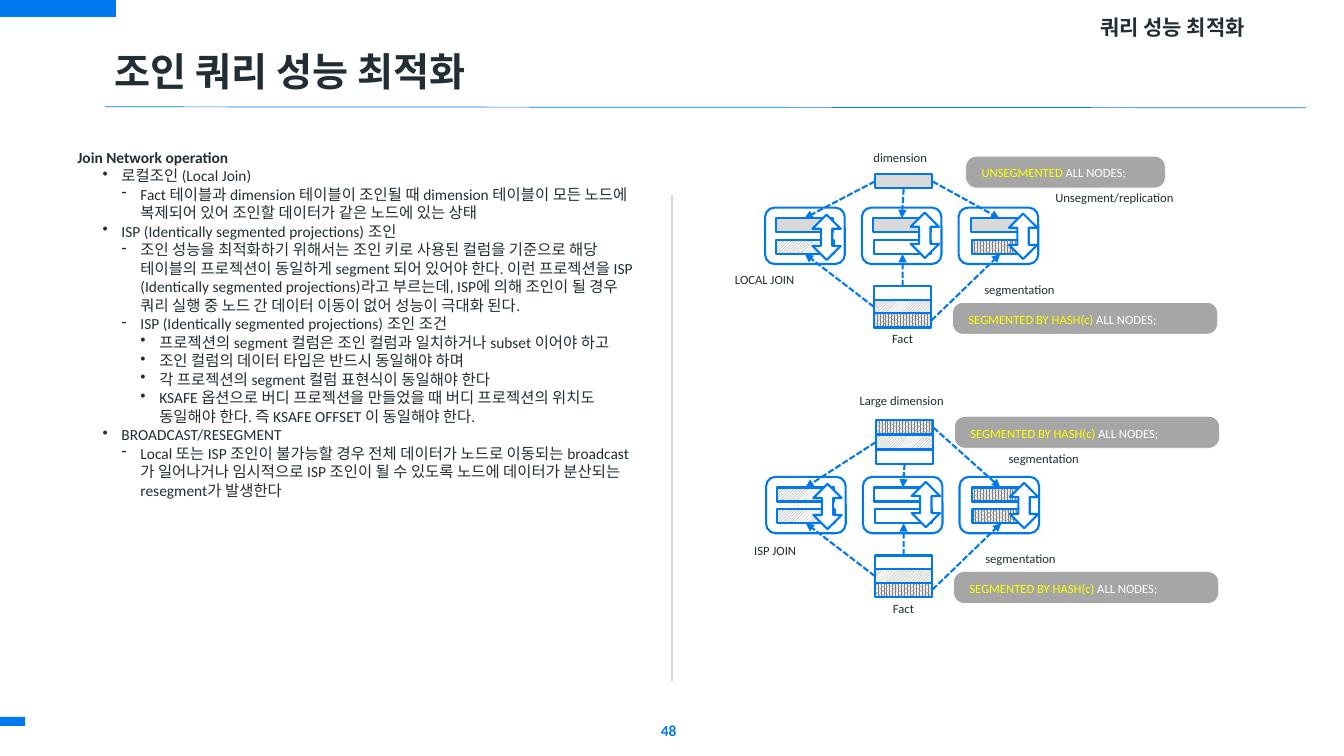
from pptx import Presentation
from pptx.dml.color import RGBColor
from pptx.enum.dml import MSO_LINE, MSO_PATTERN
from pptx.enum.shapes import MSO_CONNECTOR, MSO_SHAPE
from pptx.enum.text import MSO_ANCHOR, PP_ALIGN
from pptx.oxml.ns import qn
from pptx.util import Pt
from lxml.etree import SubElement

# Content
TITLE = "조인 쿼리 성능 최적화"
TOPIC = "쿼리 성능 최적화"
PAGE = "48"
BODY = [  # level, text
    (0, "Join Network operation"),
    (1, "로컬조인 (Local Join)"),
    (2, "Fact 테이블과 dimension 테이블이 조인될 때 dimension 테이블이 모든 노드에 "
        "복제되어 있어 조인할 데이터가 같은 노드에 있는 상태"),
    (1, "ISP (Identically segmented projections) 조인"),
    (2, "조인 성능을 최적화하기 위해서는 조인 키로 사용된 컬럼을 기준으로 해당 테이블의 "
        "프로젝션이 동일하게 segment 되어 있어야 한다. 이런 프로젝션을 ISP (Identically "
        "segmented projections)라고 부르는데, ISP에 의해 조인이 될 경우 쿼리 실행 중 노드 간 "
        "데이터 이동이 없어 성능이 극대화 된다."),
    (2, "ISP (Identically segmented projections) 조인 조건"),
    (3, "프로젝션의 segment 컬럼은 조인 컬럼과 일치하거나 subset 이어야 하고"),
    (3, "조인 컬럼의 데이터 타입은 반드시 동일해야 하며"),
    (3, "각 프로젝션의 segment 컬럼 표현식이 동일해야 한다"),
    (3, "KSAFE 옵션으로 버디 프로젝션을 만들었을 때 버디 프로젝션의 위치도 동일해야 한다. "
        "즉 KSAFE OFFSET 이 동일해야 한다."),
    (1, "BROADCAST/RESEGMENT"),
    (2, "Local 또는 ISP 조인이 불가능할 경우 전체 데이터가 노드로 이동되는 broadcast가 "
        "일어나거나 임시적으로 ISP 조인이 될 수 있도록 노드에 데이터가 분산되는 "
        "resegment가 발생한다"),
]
BULLETS = ["", "•", "-", "•"]
BLUE, INK, GRAY, WHITE, YELLOW = "0079EF", "212E35", "D9D9D9", "FFFFFF", "FFFF00"
DIAG, DOTS = MSO_PATTERN.LIGHT_UPWARD_DIAGONAL, MSO_PATTERN.PERCENT_80
HASH = "SEGMENTED BY HASH(c) "

# Joins: all places are relative to the top left of the first node
JOINS = [
    dict(at=(546.5, 148.3), top=[GRAY], rise=-23.8, high=[GRAY] * 3,
         labels=[("dimension", 77, -39.6, 39), ("Fact", 90.7, 90, 15),
                 ("Unsegment/replication", 206.6, -10.8, 85.7),
                 ("segmentation", 156.2, 54.7, 51), ("LOCAL JOIN", -21.6, 47.5, 42.5)],
         tags=[("UNSEGMENTED ", 143.3, -36.7, 142.6), (HASH, 133.9, 67.7, 189.4)]),
    dict(at=(547.2, 340.6), top=[DOTS, DIAG, WHITE], rise=-40.3, high=[DIAG, WHITE, DOTS],
         labels=[("Large dimension", 66.2, -58.3, 61.2), ("Fact", 90.7, 90, 15),
                 ("segmentation", 172.8, -16.6, 51),
                 ("segmentation", 156.2, 54.7, 51), ("ISP JOIN", -8.6, 49, 30.2)],
         tags=[(HASH, 134.6, -43.2, 189.4), (HASH, 133.9, 67.7, 189.4)]),
]

deck = Presentation()
deck.slide_width, deck.slide_height = Pt(960), Pt(540)
slide = deck.slides.add_slide(deck.slide_layouts[6])


def color(code):
    return RGBColor.from_string(code)


def style(par, size, code, bold=False):
    par.font.name, par.font.size, par.font.bold = "Calibri", Pt(size), bold
    par.font.color.rgb = color(code)


def shape(kind, x, y, w, h, fill, line=BLUE, width=1.5):
    item = slide.shapes.add_shape(kind, Pt(x), Pt(y), Pt(w), Pt(h))
    item.shadow.inherit = False
    if isinstance(fill, str):
        item.fill.solid()
        item.fill.fore_color.rgb = color(fill)
    else:
        item.fill.patterned()
        item.fill.pattern = fill
        item.fill.fore_color.rgb, item.fill.back_color.rgb = color("808080"), color(WHITE)
    if line:
        item.line.color.rgb, item.line.width = color(line), Pt(width)
    else:
        item.line.fill.background()
    return item


def rule(x1, y1, x2, y2, code, width):
    item = slide.shapes.add_connector(MSO_CONNECTOR.STRAIGHT, Pt(x1), Pt(y1), Pt(x2), Pt(y2))
    item.line.color.rgb, item.line.width = color(code), Pt(width)
    SubElement(item._element.spPr, qn("a:effectLst"))
    return item


def arrow(start, side, end, goal):
    item = rule(0, 0, 0, 0, BLUE, 1.5)
    item.begin_connect(start, side)
    item.end_connect(end, goal)
    item.line.dash_style = MSO_LINE.SQUARE_DOT
    SubElement(item._element.spPr.find(qn("a:ln")), qn("a:tailEnd"), type="triangle")


def text(words, x, y, w, h, size, code=INK, bold=False, align=PP_ALIGN.LEFT,
         anchor=MSO_ANCHOR.TOP, space=0.9):
    frame = slide.shapes.add_textbox(Pt(x), Pt(y), Pt(w), Pt(h)).text_frame
    frame.word_wrap, frame.vertical_anchor = True, anchor
    par = frame.paragraphs[0]
    par.text, par.alignment, par.line_spacing = words, align, space
    style(par, size, code, bold)
    return frame


def label(words, x, y, w):
    # Room on both sides keeps each label on one line
    frame = text(words, x - 5, y - 0.4, w + 10, 10, 9, align=PP_ALIGN.CENTER)
    frame.word_wrap = False
    frame.margin_left = frame.margin_right = frame.margin_top = frame.margin_bottom = 0


def tag(lead, x, y, w):
    item = shape(MSO_SHAPE.ROUNDED_RECTANGLE, x, y, w, 22.7, "A6A6A6", WHITE, 0.5)
    item.adjustments[0] = 0.33
    frame = item.text_frame
    frame.margin_left, frame.vertical_anchor = Pt(9.2), MSO_ANCHOR.MIDDLE
    par = frame.paragraphs[0]
    par.alignment, par.line_spacing = PP_ALIGN.LEFT, Pt(12)
    style(par, 9, WHITE)
    for words, code in ((lead, YELLOW), ("ALL NODES;", WHITE)):
        run = par.add_run()
        run.text = words
        run.font.color.rgb = color(code)


def bar(x, y, fill):
    return shape(MSO_SHAPE.RECTANGLE, x, y, 41, 10.1, fill)


def join(at, top, rise, high, labels, tags):
    left, head = at
    for i in range(3):
        shape(MSO_SHAPE.ROUNDED_RECTANGLE, left + 69.1 * i, head, 56.9, 40.3, WHITE)
    # Tables and their parts in each node
    fact = [bar(left + 77.8, head + 56.2 + 9.7 * i, fill)
            for i, fill in enumerate((WHITE, DIAG, DOTS))]
    low = [bar(left + 7.9 + 69.8 * i, head + 23, fill)
           for i, fill in enumerate((DIAG, WHITE, DOTS))]
    dim = [bar(left + 78.5, head + rise + 10.4 * i, fill) for i, fill in enumerate(top)]
    upper = [bar(left + 7.6 + 69.6 * i, head + 7.6, fill) for i, fill in enumerate(high)]
    # Flows into the nodes
    for start, side, end in ((fact[1], 1, low[0]), (fact[0], 0, low[1]), (fact[2], 3, low[2])):
        arrow(start, side, end, 2)
    for start, side, end in ((dim[len(dim) // 2], 1, upper[0]), (dim[-1], 2, upper[1]),
                             (dim[0], 3, upper[2])):
        arrow(start, side, end, 0)
    for i, drop in enumerate((5, 3.6, 4.3)):
        swap = shape(MSO_SHAPE.UP_DOWN_ARROW, left + 33.8 + 70.2 * i, head + drop,
                     20.2, 32.4, WHITE)
        swap.adjustments[0], swap.adjustments[1] = 0.43, 0.4
    for draw, items in ((label, labels), (tag, tags)):
        for words, x, y, w in items:
            draw(words, left + x, head + y, w)


# Frame of the slide
shape(MSO_SHAPE.RECTANGLE, 0, 0, 82.8, 12.2, "0078EF", None)
shape(MSO_SHAPE.RECTANGLE, 0, 512, 18, 6.5, BLUE, None)
rule(75, 76.3, 933, 77, BLUE, 0.5)
text(TITLE, 75, 33.8, 812, 85, 28, bold=True)
text(PAGE, 465, 507.6, 29, 28.8, 11, BLUE, True, anchor=MSO_ANCHOR.MIDDLE, space=1)
text(TOPIC, 612.7, 7.9, 283.7, 25.2, 15, bold=True, align=PP_ALIGN.RIGHT,
     anchor=MSO_ANCHOR.MIDDLE)

# Outline on the left
frame = text(BODY[0][1], 48.2, 102.2, 418.3, 394.6, 11, bold=True, space=1)
for level, words in BODY[1:]:
    par = frame.add_paragraph()
    par.text, par.level = words, level
    props = par._p.get_or_add_pPr()
    props.set("marL", str(Pt(18 + 13.5 * level)))
    props.set("indent", str(-Pt(13.5)))
    SubElement(props, qn("a:buChar"), char=BULLETS[level])
    style(par, 11, INK)
rule(480, 139, 480, 486.7, GRAY, 1.5)

# Diagrams on the right
for parts in JOINS:
    join(**parts)

deck.save("out.pptx")
